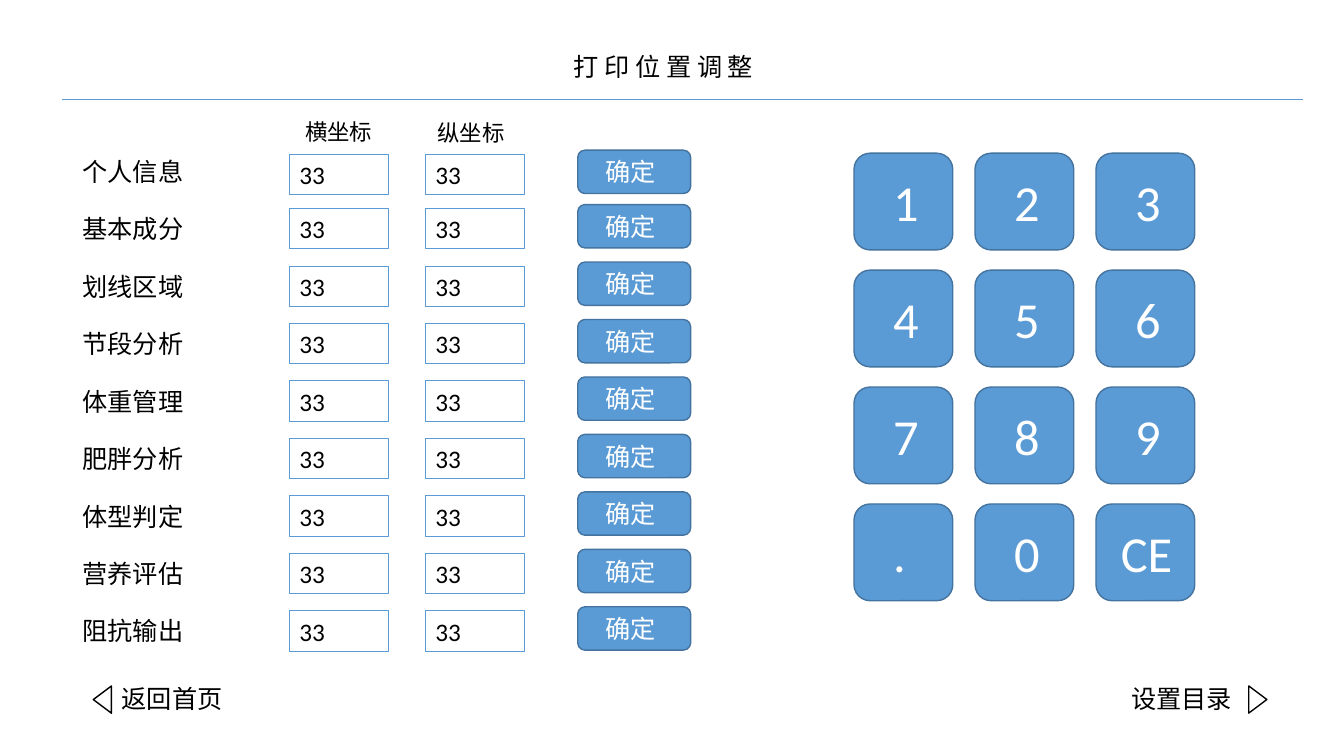
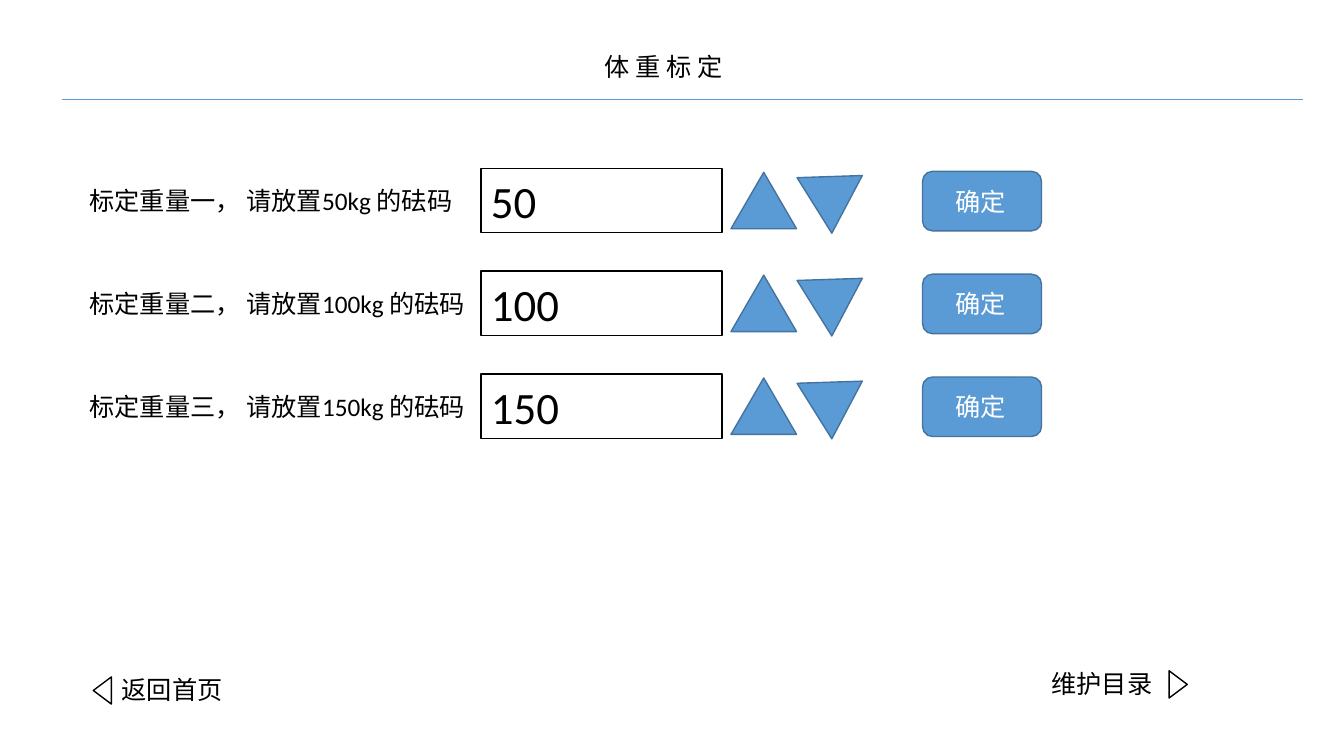
from lxml import etree
from pptx import Presentation
from pptx.dml.color import RGBColor
from pptx.enum.shapes import MSO_CONNECTOR, MSO_SHAPE as SHAPE
from pptx.enum.text import MSO_ANCHOR as ANCHOR, MSO_AUTO_SIZE, PP_ALIGN as ALIGN
from pptx.oxml.ns import qn
from pptx.util import Inches, Pt

COLORS = {"blue": "5B9BD5", "edge": "43739E", "black": "000000", "white": "FFFFFF"}
LATIN = "Calibri"
CJK = "Noto Sans CJK SC"
TITLE_ONLY = 5


def color(name):
    return RGBColor.from_string(COLORS[name])


def box(x, y, w, h):
    return [Inches(v) for v in (x, y, w, h)]


class Screen:
    """Shared style of the device screens, and the slide being built."""

    def __init__(self, prs, title):
        self.slide = prs.slides.add_slide(prs.slide_layouts[TITLE_ONLY])
        self.shapes = self.slide.shapes
        sp = self.shapes.title
        sp.left, sp.top, sp.width, sp.height = box(2.78, 0.46, 7.6, 0.4)
        self.set_text(sp, title, font=CJK, align=ALIGN.CENTER)
        self.rule(0.62, 12.92, 0.99)

    def set_text(self, sp, text, size=18, ink="black", font=LATIN,
                 align=ALIGN.LEFT, anchor=ANCHOR.TOP, inset=0.1):
        tf = sp.text_frame
        tf.text = text
        tf.word_wrap = True
        tf.auto_size = MSO_AUTO_SIZE.NONE
        tf.vertical_anchor = anchor
        tf.margin_left = Inches(inset)
        tf.margin_right = Inches(min(inset, 0.1))
        tf.margin_top = tf.margin_bottom = Inches(0.05)
        p = tf.paragraphs[0]
        p.alignment = align
        for r in p.runs:
            r.font.size = Pt(size)
            r.font.bold = False
            r.font.color.rgb = color(ink)
            r.font.name = font
            ea = etree.SubElement(r.font._element, qn("a:ea"))
            ea.set("typeface", CJK)

    def rule(self, x1, x2, y):
        line = self.shapes.add_connector(
            MSO_CONNECTOR.STRAIGHT, Inches(x1), Inches(y), Inches(x2), Inches(y))
        line.line.color.rgb = color("blue")
        line.line.width = Pt(0.5)
        etree.SubElement(line._element.spPr, qn("a:effectLst"))

    def shape(self, kind, x, y, w, h, fill="blue", edge="edge", width=1, turn=0):
        sp = self.shapes.add_shape(kind, *box(x, y, w, h))
        sp.shadow.inherit = False
        if fill:
            sp.fill.solid()
            sp.fill.fore_color.rgb = color(fill)
        else:
            sp.fill.background()
        sp.line.color.rgb = color(edge)
        sp.line.width = Pt(width)
        sp.rotation = turn
        return sp

    def label(self, text, x, y, w, size=18, align=ALIGN.LEFT):
        sp = self.shapes.add_textbox(*box(x, y, w, 0.4))
        self.set_text(sp, text, size, align=align)

    def button(self, text, x, y, w, h, inset, size=18):
        sp = self.shape(SHAPE.ROUNDED_RECTANGLE, x, y, w, h)
        self.set_text(sp, text, size, "white", anchor=ANCHOR.MIDDLE, inset=inset)

    def field(self, text, x, y, w, h, size=18, **style):
        sp = self.shape(SHAPE.RECTANGLE, x, y, w, h, **style)
        self.set_text(sp, text, size, anchor=ANCHOR.MIDDLE)

    def nav(self, text, x, y, back=False):
        """Page link with an arrow before (back) or after its text."""
        self.label(text, x, y, 1.27)
        arrow_x = x - 0.23 if back else x + 1.22
        self.shape(SHAPE.ISOSCELES_TRIANGLE, arrow_x, y + 0.12, 0.27, 0.18,
                   fill="white", edge="black", turn=270 if back else 90)


def print_position(prs):
    screen = Screen(prs, "打 印 位 置 调 整")
    screen.nav("返回首页", 1.11, 6.73, back=True)
    screen.nav("设置目录", 11.12, 6.73)

    keys = ["123", "456", "789", [".", "0", "CE"]]
    for row, names in enumerate(keys):
        for col, name in enumerate(names):
            screen.button(name, 8.47 + 1.2 * col, 1.52 + 1.16 * row, 0.98, 0.96,
                          inset=0.34 if len(name) == 1 else 0.2, size=36)

    screen.label("横坐标", 2.86, 1.12, 1, 16, ALIGN.CENTER)
    screen.label("纵坐标", 4.24, 1.13, 1, 16)
    sections = ["个人信息", "基本成分", "划线区域", "节段分析", "体重管理",
                "肥胖分析", "体型判定", "营养评估", "阻抗输出"]
    for row, section in enumerate(sections):
        y = 1.5 + 0.57 * row
        screen.label(section, 0.72, y, 1.66)
        if row == 0:
            y += 0.03  # leaves room under the column heads
        for x in (2.87, 4.22):
            screen.field("33", x, y, 0.98, 0.4, fill=None, edge="blue", width=0.75)
        screen.button("确定", 5.73, y - 0.04, 1.12, 0.43, inset=0.25)


def weight_calibration(prs):
    screen = Screen(prs, "体 重 标 定")
    screen.nav("返回首页", 1.11, 6.64, back=True)
    screen.nav("维护目录", 10.33, 6.58)

    for row, (number, weight) in enumerate([("一", 50), ("二", 100), ("三", 150)]):
        y = 1.67 + 1.02 * row
        screen.label(f"标定重量{number}， 请放置{weight}kg 的砝码", 0.79, y + 0.12, 4.2)
        screen.field(str(weight), 4.77, y, 2.39, 0.64, 32, fill="white", edge="black")
        screen.shape(SHAPE.ISOSCELES_TRIANGLE, 7.25, y + 0.04, 0.65, 0.56)
        screen.shape(SHAPE.ISOSCELES_TRIANGLE, 7.99, y - 0.06, 0.65, 0.56, turn=58)
        screen.button("确定", 9.15, y + 0.03, 1.18, 0.59, inset=0.3)


def main():
    prs = Presentation()
    prs.slide_width, prs.slide_height = Inches(13.33), Inches(7.5)
    print_position(prs)
    weight_calibration(prs)
    prs.save("out.pptx")


if __name__ == "__main__":
    main()
